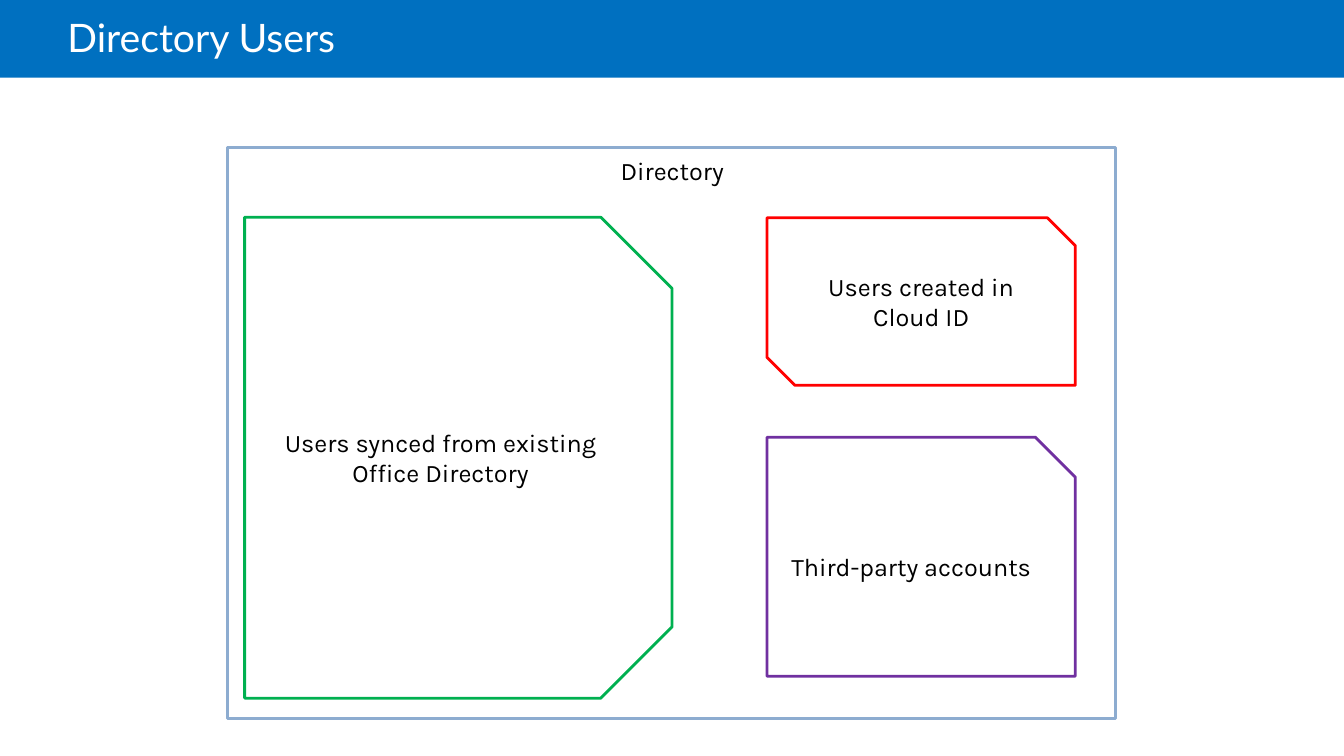
from dataclasses import dataclass
from typing import Optional

from pptx import Presentation
from pptx.dml.color import RGBColor
from pptx.enum.shapes import MSO_SHAPE as Kind
from pptx.enum.text import MSO_ANCHOR as Anchor, MSO_AUTO_SIZE as Fit, PP_ALIGN as Align
from pptx.util import Cm, Pt

WIDE, TALL = 33.87, 19.05
WHITE, BLACK, BLUE = "FFFFFF", "000000", "0070C0"
RIGHT, SIDE = 19.33, 7.77  # left edge and width of the right-hand groups


@dataclass
class Box:
    kind: Kind
    at: tuple[float, float, float, float]
    fill: Optional[str] = WHITE
    line: Optional[str] = None
    text: str = ""
    turn: int = 0


BAND = Box(Kind.RECTANGLE, (0, 0, WIDE, 1.96), fill=BLUE)
FRAME = Box(Kind.RECTANGLE, (5.74, 3.71, 22.38, 14.4), line="8DACD0")
GROUPS = [
    Box(Kind.SNIP_2_SAME_RECTANGLE, (5.49, 6.15, 12.12, 10.77), None, "00B050",
        "Users synced from existing Office Directory", 90),
    Box(Kind.SNIP_2_DIAG_RECTANGLE, (RIGHT, 5.49, SIDE, 4.22), line="FF0000",
        text="Users created in Cloud ID"),
    Box(Kind.SNIP_1_RECTANGLE, (RIGHT, 11.02, SIDE, 6.02), line="7030A0",
        text="Third-party accounts"),
]


def color(code: str) -> RGBColor:
    return RGBColor.from_string(code)


def put(item, values: dict) -> None:
    """Set each named attribute of the item."""
    for name, value in values.items():
        setattr(item, name, value)


def write(shape, text: str, frame: dict, para: dict, font: dict, ink: str) -> None:
    body = shape.text_frame
    body.text = text
    put(body, {"word_wrap": True, **frame})
    first = body.paragraphs[0]
    put(first, para)
    put(first.font, font)
    first.font.color.rgb = color(ink)


def label(shape, text: str, frame: dict) -> None:
    """Write centred black text in the body font."""
    write(shape, text, frame, {"alignment": Align.CENTER},
          {"name": "Karla", "size": Pt(18)}, BLACK)


def draw(slide, box: Box):
    shape = slide.shapes.add_shape(box.kind, *map(Cm, box.at))
    shape.shadow.inherit = False
    shape.rotation = box.turn
    if box.fill:
        shape.fill.solid()
        shape.fill.fore_color.rgb = color(box.fill)
    else:
        shape.fill.background()
    if box.line:
        shape.line.color.rgb = color(box.line)
        shape.line.width = Pt(2)
    else:
        shape.line.fill.background()
    if box.text:
        label(shape, box.text, {"vertical_anchor": Anchor.MIDDLE,
                                "margin_left": Cm(0.51), "margin_right": Cm(0.51)})
    if box.turn:
        shape.element.txBody.bodyPr.set("vert", "vert270")
    return shape


def head(slide) -> None:
    """Set the title on top of its colour band."""
    title = slide.shapes.title
    title.element.addprevious(draw(slide, BAND).element)
    put(title, {"left": Cm(1.7), "top": Cm(0), "width": Cm(28.8), "height": Cm(2.06)})
    write(title, "Directory Users",
          {"vertical_anchor": Anchor.MIDDLE, "margin_left": 0, "auto_size": Fit.NONE},
          {"alignment": Align.LEFT, "line_spacing": 0.85},
          {"name": "Lato", "size": Pt(28)}, WHITE)


def main() -> None:
    deck = Presentation()
    put(deck, {"slide_width": Cm(WIDE), "slide_height": Cm(TALL)})
    slide = deck.slides.add_slide(deck.slide_layouts[5])
    head(slide)
    draw(slide, FRAME)
    name = slide.shapes.add_textbox(*map(Cm, (13.46, 3.78, 6.96, 1.02)))
    label(name, "Directory", {"auto_size": Fit.SHAPE_TO_FIT_TEXT})
    for group in GROUPS:
        draw(slide, group)
    deck.save("out.pptx")


if __name__ == "__main__":
    main()
